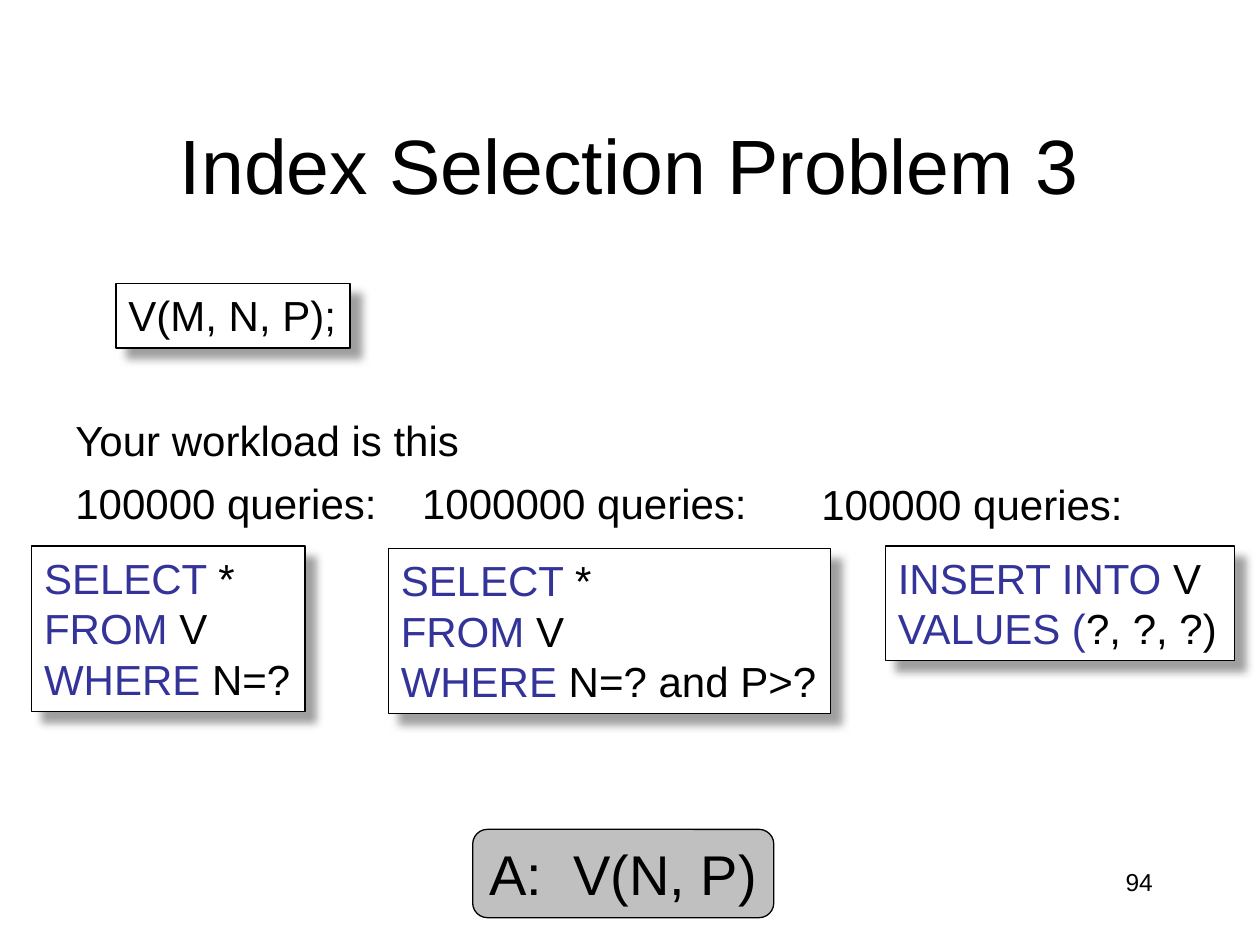
from dataclasses import dataclass

from lxml.etree import SubElement
from pptx import Presentation
from pptx.dml.color import RGBColor
from pptx.enum.shapes import MSO_SHAPE as Preset
from pptx.enum.text import MSO_ANCHOR as Anchor, MSO_AUTO_SIZE as AutoSize, PP_ALIGN as Align
from pptx.oxml.ns import qn
from pptx.shapes.autoshape import Shape
from pptx.slide import Slide
from pptx.text.text import TextFrame
from pptx.util import Cm, Pt

BLACK = RGBColor(0x00, 0x00, 0x00)
WHITE = RGBColor(0xFF, 0xFF, 0xFF)
KEYWORD = RGBColor(0x33, 0x33, 0x99)
ANSWER_GREY = RGBColor(0xC0, 0xC0, 0xC0)
SHADOW_GREY = RGBColor(0x80, 0x80, 0x80)
FONT = "Arial"

Line = tuple[tuple[str, RGBColor], ...]


@dataclass(frozen=True)
class Block:
    left: float
    top: float
    width: float
    height: float
    lines: tuple[Line, ...]
    size: int = 24
    right_inset: float = 0.25


def plain(text: str) -> tuple[Line, ...]:
    return (((text, BLACK),),)


def clause(keyword: str, rest: str) -> Line:
    return ((keyword, KEYWORD), (rest, BLACK))


def select_where(condition: str) -> tuple[Line, ...]:
    return (clause("SELECT ", "*"), clause("FROM", " V"), clause("WHERE", condition))


LABELS = (
    Block(1.27, 8.24, 8.33, 1.27, plain("Your workload is this")),
    Block(1.27, 9.51, 6.6, 1.27, plain("100000 queries:")),
    Block(8.26, 9.51, 7.06, 1.27, plain("1000000 queries:")),
    Block(16.31, 9.53, 6.6, 1.27, plain("100000 queries:")),
)
CODE_BOXES = (
    Block(2.34, 5.72, 4.72, 1.3, plain("V(M, N, P);")),
    Block(0.64, 11.01, 5.51, 3.33, select_where(" N=?")),
    Block(7.83, 11.06, 8.92, 3.33, select_where(" N=? and P>?")),
    Block(17.85, 11.01, 7.04, 2.31,
          (clause("INSERT INTO ", "V"), clause("VALUES (", "?, ?, ?)"))),
)
ANSWER = Block(9.53, 16.72, 6.07, 1.78, plain("A:  V(N, P)"), 32, 0.05)
PAGE_NUMBER = Block(18.21, 17.35, 5.28, 1.27, plain("94"), 14)


def bounds(block: Block) -> tuple[Cm, Cm, Cm, Cm]:
    return Cm(block.left), Cm(block.top), Cm(block.width), Cm(block.height)


def write(frame: TextFrame, lines: tuple[Line, ...], size: int, align: Align) -> None:
    for index, line in enumerate(lines):
        paragraph = frame.add_paragraph() if index else frame.paragraphs[0]
        paragraph.alignment = align
        for text, color in line:
            run = paragraph.add_run()
            run.text = text
            run.font.name = FONT
            run.font.size = Pt(size)
            run.font.color.rgb = color


def fit_text(frame: TextFrame, block: Block) -> None:
    frame.word_wrap = False
    frame.auto_size = AutoSize.SHAPE_TO_FIT_TEXT
    frame.vertical_anchor = Anchor.TOP
    frame.margin_right = Cm(block.right_inset)
    write(frame, block.lines, block.size, Align.LEFT)


def add_label(slide: Slide, block: Block) -> None:
    fit_text(slide.shapes.add_textbox(*bounds(block)).text_frame, block)


def add_box(slide: Slide, block: Block, preset: Preset, fill: RGBColor) -> Shape:
    box = slide.shapes.add_shape(preset, *bounds(block))
    box.shadow.inherit = False
    box.fill.solid()
    box.fill.fore_color.rgb = fill
    box.line.color.rgb = BLACK
    box.line.width = Pt(0.75)
    fit_text(box.text_frame, block)
    return box


def drop_shadow(box: Shape) -> None:
    effects = box._element.spPr.find(qn("a:effectLst"))
    shadow = SubElement(effects, qn("a:outerShdw"), blurRad=str(Pt(5)),
                        dist=str(Pt(8.5)), dir=str(45 * 60000),
                        algn="tl", rotWithShape="0")
    color = SubElement(shadow, qn("a:srgbClr"), val=str(SHADOW_GREY))
    SubElement(color, qn("a:alpha"), val="75000")


def add_title(slide: Slide, text: str) -> None:
    title = slide.shapes.title
    title.left, title.top, title.width, title.height = Cm(1.9), Cm(1.7), Cm(21.59), Cm(3.18)
    title.text_frame.vertical_anchor = Anchor.MIDDLE
    write(title.text_frame, plain(text), 44, Align.CENTER)


def add_page_number(slide: Slide, block: Block) -> None:
    frame = slide.shapes.add_textbox(*bounds(block)).text_frame
    frame.word_wrap = True
    write(frame, block.lines, block.size, Align.RIGHT)


def main() -> None:
    deck = Presentation()
    deck.slide_width, deck.slide_height = Cm(25.4), Cm(19.05)
    slide = deck.slides.add_slide(deck.slide_layouts[5])
    add_title(slide, "Index Selection Problem 3")
    add_page_number(slide, PAGE_NUMBER)
    for block in CODE_BOXES:
        drop_shadow(add_box(slide, block, Preset.RECTANGLE, WHITE))
    for block in LABELS:
        add_label(slide, block)
    add_box(slide, ANSWER, Preset.ROUNDED_RECTANGLE, ANSWER_GREY)
    deck.save("out.pptx")


if __name__ == "__main__":
    main()
